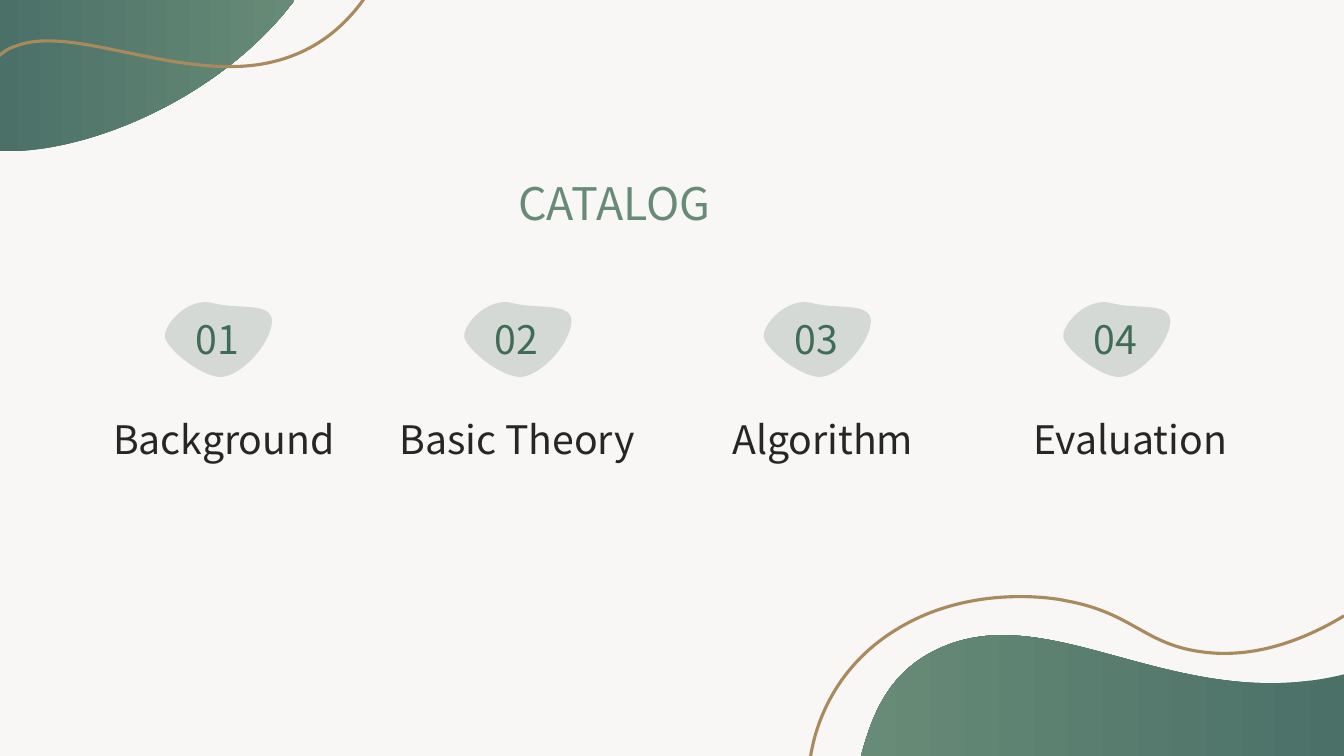
from lxml import etree
from pptx import Presentation
from pptx.dml.color import RGBColor
from pptx.enum.text import MSO_ANCHOR, MSO_AUTO_SIZE, PP_ALIGN
from pptx.oxml.ns import qn
from pptx.util import Inches, Pt

TOP = MSO_ANCHOR.TOP
GROW = MSO_AUTO_SIZE.SHAPE_TO_FIT_TEXT
LEFT, CENTER, JUSTIFY = PP_ALIGN.LEFT, PP_ALIGN.CENTER, PP_ALIGN.JUSTIFY

FONT = "Noto Sans CJK SC"
PAPER, INK, NUMBER_GREEN = "F8F7F6", "262626", "3E6C58"
DARK_GREEN, LIGHT_GREEN = "4B7068", "678B76"
PEBBLE_GREY, GOLD = "D5D9D5", "A88A5C"

TITLE = "CATALOG"
# Chapter name, left edge and height of its label
CHAPTERS = [
    ("Background", 0.84, 0.57),
    ("Basic Theory", 3.75, 0.57),
    ("Algorithm", 6.78, 1.04),
    ("Evaluation", 9.83, 0.57),
]
CHAPTER_PITCH = 2.97
PEBBLE_ROTATION = 354.7

# Curves: bounding box, start point, cubic segments of two control points and an end
PEBBLE = ((1.64, 2.99, 1.08, 0.75), (1.64, 3.29), [
    ((1.64, 3.17), (1.90, 2.92), (2.14, 3.00)),
    ((2.40, 3.10), (2.79, 3.03), (2.70, 3.29)),
    ((2.62, 3.52), (2.34, 3.74), (2.17, 3.74)),
    ((1.98, 3.74), (1.64, 3.41), (1.64, 3.29)),
])
BOTTOM_WAVE = ((8.54, 5.91, 4.79, 1.59), (13.33, 6.69), [
    ((11.67, 7.10), (10.41, 5.91), (9.30, 6.44)),
    ((8.81, 6.67), (8.65, 7.09), (8.54, 7.50)),
    ((13.33, 7.50), (13.33, 7.50), (13.33, 7.50)),
])
BOTTOM_LINE = ((8.04, 5.8, 5.29, 1.7), (8.04, 7.50), [
    ((8.06, 7.38), (8.17, 6.68), (8.90, 6.24)),
    ((9.62, 5.80), (10.44, 5.93), (10.57, 5.96)),
    ((11.24, 6.08), (11.35, 6.40), (11.94, 6.47)),
    ((12.49, 6.54), (13.00, 6.31), (13.33, 6.11)),
])
TOP_WAVE = ((-0.03, -0.01, 2.96, 1.55), (-0.03, 1.50), [
    ((-0.03, -0.01), (-0.03, -0.01), (-0.03, -0.01)),
    ((2.93, -0.01), (2.93, -0.01), (2.93, -0.01)),
    ((2.20, 0.97), (0.85, 1.54), (-0.03, 1.50)),
])
TOP_LINE = ((-0.03, -0.01, 3.64, 0.77), (3.61, -0.01), [
    ((3.29, 0.44), (2.89, 0.59), (2.57, 0.64)),
    ((1.70, 0.77), (0.69, 0.24), (0.15, 0.46)),
    ((0.05, 0.49), (0.00, 0.55), (-0.03, 0.57)),
])


def color(hex_string):
    return RGBColor.from_string(hex_string)


def bend(shape, box, start, segments, closed):
    """Replace the straight outline of a freeform by cubic curves."""
    outline = next(shape._element.iter(qn("a:path")))
    for child in list(outline):
        outline.remove(child)

    def add_command(tag, points):
        command = etree.SubElement(outline, qn(tag))
        for x, y in points:
            etree.SubElement(command, qn("a:pt"), x=str(Inches(x - box[0])),
                             y=str(Inches(y - box[1])))

    add_command("a:moveTo", [start])
    for segment in segments:
        add_command("a:cubicBezTo", segment)
    if closed:
        add_command("a:close", [])


def add_curve(shapes, curve, shift=0, rotation=0, fill=None, gradient_angle=None, line=None):
    box, start, segments = curve
    left, top, width, height = map(Inches, box)
    left += Inches(shift)
    right, bottom = left + width, top + height
    builder = shapes.build_freeform(left, top)
    builder.add_line_segments([(right, top), (right, bottom), (left, bottom)])
    shape = builder.convert_to_shape()
    bend(shape, box, start, segments, closed=line is None)
    shape.rotation = rotation
    shape.shadow.inherit = False
    if fill:
        shape.fill.solid()
        shape.fill.fore_color.rgb = color(fill)
    elif gradient_angle is not None:
        shape.fill.gradient()
        shape.fill.gradient_angle = gradient_angle
        for stop, shade in zip(shape.fill.gradient_stops, (DARK_GREEN, LIGHT_GREEN)):
            stop.color.rgb = color(shade)
    else:
        shape.fill.background()
    if line:
        shape.line.color.rgb = color(line)
        shape.line.width = Pt(2.25)
    else:
        shape.line.fill.background()


def add_corner(slide, wave, line, gradient_angle):
    group = slide.shapes.add_group_shape()
    add_curve(group.shapes, wave, gradient_angle=gradient_angle)
    add_curve(group.shapes, line, line=GOLD)


def write(shape, text, box, size=28, shade=INK, align=LEFT, wrap=True):
    shape.left, shape.top, shape.width, shape.height = map(Inches, box)
    frame = shape.text_frame
    frame.word_wrap = wrap
    frame.auto_size = GROW
    frame.vertical_anchor = TOP
    paragraph = frame.paragraphs[0]
    paragraph.alignment = align
    run = paragraph.add_run()
    run.text = text
    run.font.name = FONT
    run.font.size = Pt(size)
    run.font.color.rgb = color(shade)


def add_text(slide, text, box, **text_format):
    write(slide.shapes.add_textbox(0, 0, 0, 0), text, box, **text_format)


def main():
    presentation = Presentation()
    presentation.slide_width = Inches(13.33)
    presentation.slide_height = Inches(7.5)
    slide = presentation.slides.add_slide(presentation.slide_layouts[5])
    slide.background.fill.solid()
    slide.background.fill.fore_color.rgb = color(PAPER)

    write(slide.shapes.title, TITLE, (5.04, 1.69, 3.12, 0.64),
          size=32, shade=LIGHT_GREEN, align=JUSTIFY)
    for chapter, left, height in CHAPTERS:
        add_text(slide, chapter, (left, 4.07, 2.76, height), align=CENTER)

    add_corner(slide, BOTTOM_WAVE, BOTTOM_LINE, gradient_angle=180)
    shifts = [index * CHAPTER_PITCH for index in range(len(CHAPTERS))]
    for shift in shifts:
        add_curve(slide.shapes, PEBBLE, shift=shift, rotation=PEBBLE_ROTATION,
                  fill=PEBBLE_GREY)
    for number, shift in enumerate(shifts, start=1):
        add_text(slide, f"{number:02}", (1.84 + shift, 3.08, 0.68, 0.57),
                 shade=NUMBER_GREEN, wrap=False)
    add_corner(slide, TOP_WAVE, TOP_LINE, gradient_angle=0)

    presentation.save("out.pptx")


if __name__ == "__main__":
    main()
